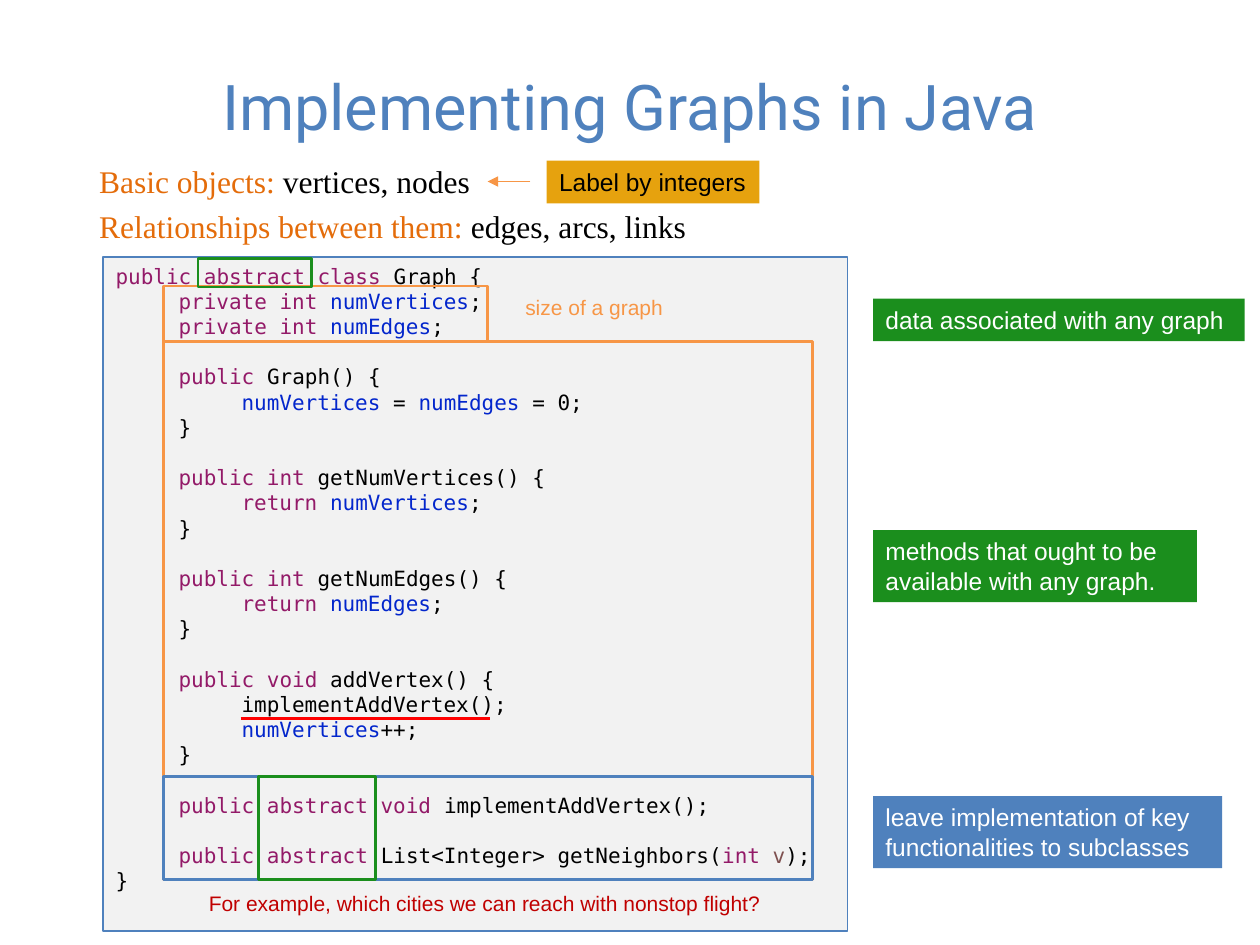
from itertools import groupby

from lxml.etree import SubElement
from pptx import Presentation
from pptx.dml.color import RGBColor
from pptx.enum.shapes import MSO_CONNECTOR, MSO_SHAPE
from pptx.enum.text import MSO_ANCHOR, PP_ALIGN
from pptx.oxml.ns import qn
from pptx.util import Cm, Pt

COLORS = {
    "black": "000000", "white": "FFFFFF", "panel": "F2F2F2",
    "blue": "4F81BD", "orange": "F79646", "dark orange": "E46C0A",
    "gold": "E6A20E", "green": "1B8E1D", "red": "FF0000", "dark red": "C00000",
    "keyword": "931A68", "field": "0326CC", "parameter": "7E504F",
}
KEYWORDS = "public abstract class private int return void".split()
WORD_COLORS = {
    **dict.fromkeys(KEYWORDS, "keyword"),
    **dict.fromkeys(["numVertices", "numEdges"], "field"),
    "v": "parameter",
}
CODE = """\
public abstract class Graph {
    private int numVertices;
    private int numEdges;

    public Graph() {
        numVertices = numEdges = 0;
    }

    public int getNumVertices() {
        return numVertices;
    }

    public int getNumEdges() {
        return numEdges;
    }

    public void addVertex() {
        implementAddVertex();
        numVertices++;
    }

    public abstract void implementAddVertex();

    public abstract List<Integer> getNeighbors(int v);
}"""
CODE_INDENT = 4
CODE_LINE = Pt(14.4)


def rgb(name):
    return RGBColor.from_string(COLORS[name])


def style(font, size, face, color=None):
    font.size, font.name = Pt(size), face
    if color:
        font.color.rgb = rgb(color)


def add_box(slide, left, top, width, height, fill=None, line=None, weight=1.5):
    box = slide.shapes.add_shape(
        MSO_SHAPE.RECTANGLE, Cm(left), Cm(top), Cm(width), Cm(height))
    box.shadow.inherit = False
    if fill:
        box.fill.solid()
        box.fill.fore_color.rgb = rgb(fill)
    else:
        box.fill.background()
    if line:
        box.line.color.rgb = rgb(line)
        box.line.width = Pt(weight)
    else:
        box.line.fill.background()
    return box


def add_text(slide, left, top, width, height, wrap=True):
    frame = slide.shapes.add_textbox(
        Cm(left), Cm(top), Cm(width), Cm(height)).text_frame
    frame.word_wrap = wrap
    return frame


def write(frame, text, size, color, face="Arial", align=PP_ALIGN.LEFT):
    paragraph = frame.paragraphs[0]
    paragraph.text = text
    paragraph.alignment = align
    style(paragraph.font, size, face, color)


def add_label(slide, left, top, width, height, text, fill, color="white"):
    frame = add_box(slide, left, top, width, height, fill=fill).text_frame
    frame.word_wrap = True
    frame.vertical_anchor = MSO_ANCHOR.TOP
    write(frame, text, 14, color)


def add_line(slide, start, end, color, weight, arrow=False):
    line = slide.shapes.add_connector(
        MSO_CONNECTOR.STRAIGHT, *(Cm(value) for value in start + end))
    line.line.color.rgb = rgb(color)
    line.line.width = Pt(weight)
    if arrow:
        SubElement(line.line._get_or_add_ln(), qn("a:tailEnd"), type="triangle")
    SubElement(line._element.spPr, qn("a:effectLst"))


def color_code(line):
    """Split a code line into (text, colour) pieces; spaces join the piece before."""
    pieces = []
    for _, characters in groupby(line, str.isalnum):
        token = "".join(characters)
        color = WORD_COLORS.get(token, "black")
        if pieces and (token.isspace() or color == pieces[-1][1]):
            pieces[-1][0] += token
        else:
            pieces.append([token, color])
    return pieces


def add_code(slide, left, top, width, height):
    frame = add_box(slide, left, top, width, height, "panel", "blue", 0.75).text_frame
    frame.word_wrap = True
    frame.vertical_anchor = MSO_ANCHOR.TOP
    paragraph, gap = frame.paragraphs[0], False
    for number, line in enumerate(CODE.splitlines()):
        if not line:
            gap = True
            continue
        if number:
            paragraph = frame.add_paragraph()
        paragraph.alignment = PP_ALIGN.LEFT
        paragraph.line_spacing = CODE_LINE
        if gap:
            paragraph.space_before = CODE_LINE
        gap = False
        stops = SubElement(paragraph._p.get_or_add_pPr(), qn("a:tabLst"))
        for level in (1, 2):
            SubElement(stops, qn("a:tab"), pos=str(Cm(1.27 * level)), algn="l")
        style(paragraph.font, 12, "DejaVu Sans Mono")
        code = line.lstrip()
        tabs = "\t" * ((len(line) - len(code)) // CODE_INDENT)
        for text, color in color_code(code):
            run = paragraph.add_run()
            run.text = tabs + text
            run.font.color.rgb = rgb(color)
            tabs = ""


def add_definitions(slide):
    frame = add_text(slide, 1.75, 3.14, 14.07, 1.93)
    definitions = [("Basic objects: ", "vertices, nodes"),
                   ("Relationships between them: ", "edges, arcs, links")]
    for number, (term, meaning) in enumerate(definitions):
        paragraph = frame.add_paragraph() if number else frame.paragraphs[0]
        if number:
            paragraph.space_before = Pt(2)
        paragraph.space_after = Pt(2)
        style(paragraph.font, 18, "Times New Roman")
        for text, color in ((term, "dark orange"), (meaning, "black")):
            run = paragraph.add_run()
            run.text = text
            run.font.color.rgb = rgb(color)


def main():
    prs = Presentation()
    prs.slide_width, prs.slide_height = Cm(25.4), Cm(19.05)
    slide = prs.slides.add_slide(prs.slide_layouts[6])

    # Title and definitions
    title = add_text(slide, 1.27, 0.53, 22.86, 3.18)
    title.vertical_anchor = MSO_ANCHOR.MIDDLE
    write(title, "Implementing Graphs in Java", 36, "blue", "Roboto", PP_ALIGN.CENTER)
    add_definitions(slide)
    add_label(slide, 11.02, 3.24, 4.29, 0.86, "Label by integers", "gold", "black")
    add_line(slide, (10.69, 3.66), (9.83, 3.66), "orange", 1, arrow=True)

    # Code listing
    add_code(slide, 2.08, 5.18, 15.01, 13.59)

    # Frames around the fields, methods and abstract parts
    frame_left, frame_width = 3.3, 13.08
    abstract_top, abstract_height = 15.65, 2.08
    add_box(slide, frame_left, 5.77, 6.53, 1.12, line="orange")
    add_box(slide, 3.99, 5.21, 2.29, 0.58, line="green")
    add_box(slide, frame_left, 6.88, frame_width, 10.85, line="orange")
    add_box(slide, frame_left, abstract_top, frame_width, abstract_height, line="blue")
    add_box(slide, 5.21, abstract_top, 2.36, abstract_height, line="green")
    add_line(slide, (4.85, 14.48), (9.88, 14.48), "red", 2)

    # Remarks inside the listing
    write(add_text(slide, 10.34, 5.82, 3.3, 0.76, wrap=False),
          "size of a graph", 12, "orange")
    write(add_text(slide, 3.96, 17.83, 11.84, 0.76),
          "For example, which cities we can reach with nonstop flight?", 12, "dark red")

    # Explanations beside the listing
    for top, width, height, text, fill in (
        (6.02, 7.49, 0.86, "data associated with any graph", "green"),
        (10.69, 6.53, 1.45, "methods that ought to be available with any graph.", "green"),
        (16.05, 7.04, 1.45,
         "leave implementation of key functionalities to subclasses", "blue"),
    ):
        add_label(slide, 17.6, top, width, height, text, fill)

    prs.save("out.pptx")


if __name__ == "__main__":
    main()
